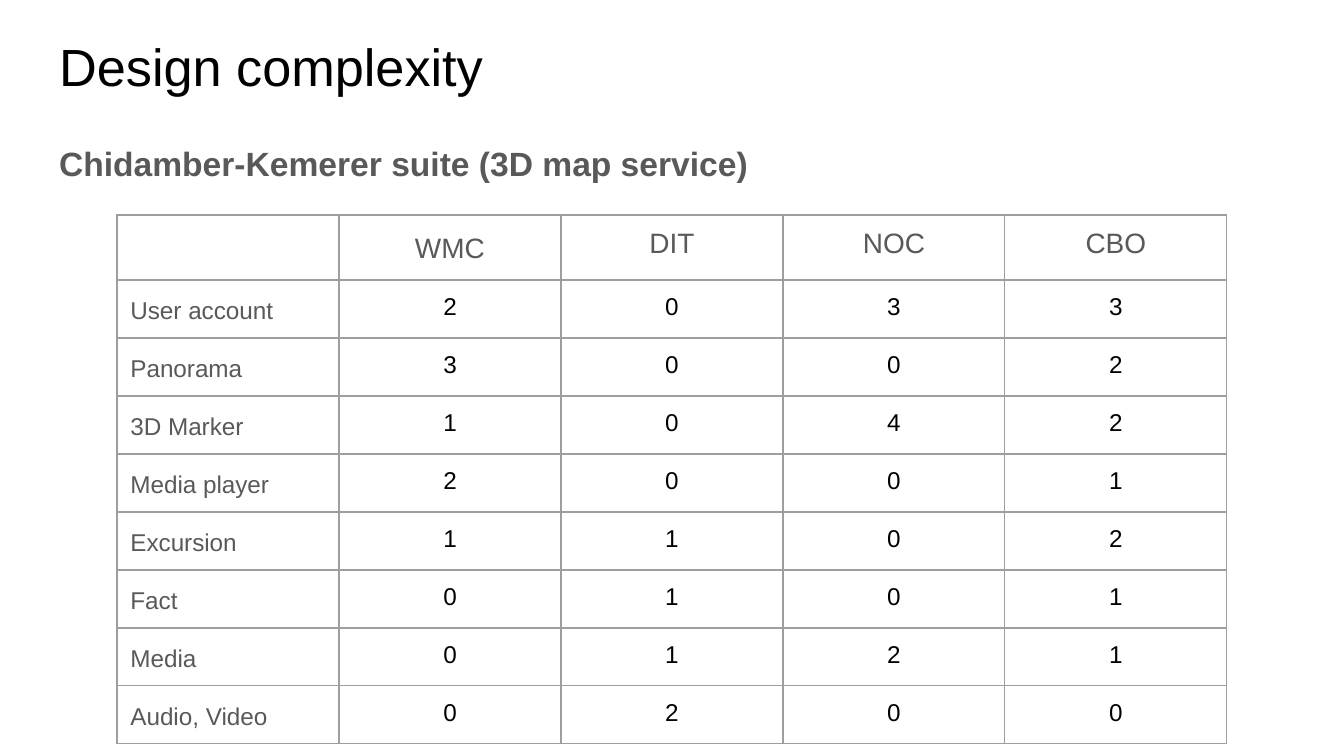
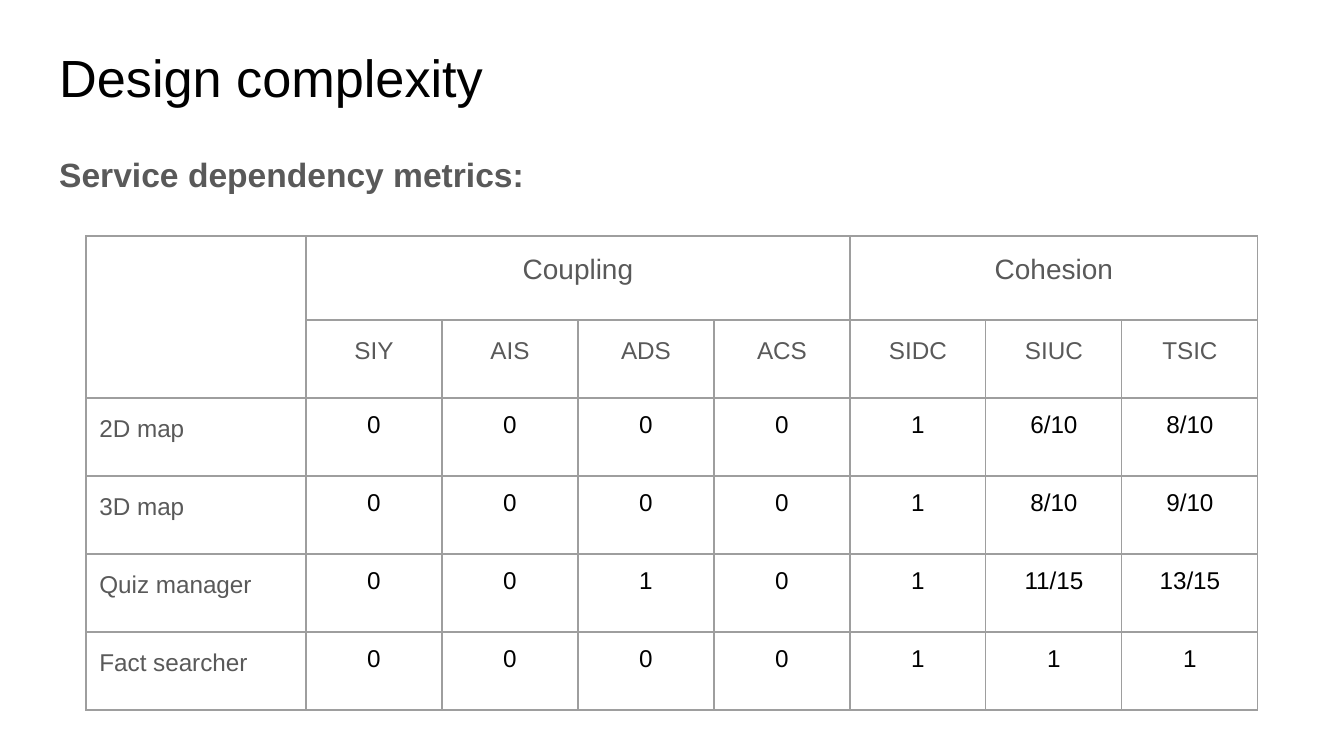
from lxml import etree
from pptx import Presentation
from pptx.dml.color import RGBColor
from pptx.enum.text import MSO_ANCHOR, PP_ALIGN
from pptx.oxml.ns import qn
from pptx.util import Inches, Pt

BLACK = RGBColor(0x00, 0x00, 0x00)
GRAY = RGBColor(0x59, 0x59, 0x59)
BORDER = RGBColor(0x9E, 0x9E, 0x9E)
LEFT, CENTER = PP_ALIGN.LEFT, PP_ALIGN.CENTER
TOP = MSO_ANCHOR.TOP
FONT = "Arial"
SCALE = 914400 / 134.4  # EMU in one px
INSET = Inches(0.1)
CELL_BOTTOM = Inches(0.06)  # keeps the text from stretching the rows
SIDES = ("a:lnL", "a:lnR", "a:lnT", "a:lnB")


def px(*lengths):
    return [round(length * SCALE) for length in lengths]


def write(frame, text, size, color=BLACK, bold=False, align=LEFT, spacing=None, after=None):
    frame.word_wrap = True
    para = frame.paragraphs[0]
    para.alignment = align
    if spacing:
        para.line_spacing = spacing
    if after:
        para.space_after = Pt(after)
    span = para.add_run()
    span.text = text
    span.font.name = FONT
    span.font.size = Pt(size)
    span.font.bold = bold
    span.font.color.rgb = color


# A header row lists its cells; None marks a cell covered by a merge.
PAGES = [
    {
        "title_box": (46, 21, 1253, 84),
        "subtitle": "Chidamber-Kemerer suite (3D map service)",
        "subtitle_box": (46, 124, 1253, 84),
        "table_at": (117, 215),
        "widths": [222] * 5,
        "heights": [65] + [58] * 8,
        "headers": 1,
        "merges": [],
        "loose_headers": ["WMC"],
        "rows": [
            ["", "WMC", "DIT", "NOC", "CBO"],
            ["User account", 2, 0, 3, 3],
            ["Panorama", 3, 0, 0, 2],
            ["3D Marker", 1, 0, 4, 2],
            ["Media player", 2, 0, 0, 1],
            ["Excursion", 1, 1, 0, 2],
            ["Fact", 0, 1, 0, 1],
            ["Media", 0, 1, 2, 1],
            ["Audio, Video", 0, 2, 0, 0],
        ],
    },
    {
        "title_box": (46, 32, 1253, 84),
        "subtitle": "Service dependency metrics:",
        "subtitle_box": (46, 135, 1253, 64),
        "table_at": (86, 236),
        "widths": [220] + [136] * 7,
        "heights": [84] + [78] * 5,
        "headers": 2,
        "merges": [(0, 0, 1, 0), (0, 1, 0, 4), (0, 5, 0, 7)],
        "loose_headers": ["Coupling", "Cohesion", "SIY", "AIS", "ADS", "ACS",
                          "SIDC", "SIUC", "TSIC"],
        "rows": [
            ["", "Coupling", None, None, None, "Cohesion", None, None],
            [None, "SIY", "AIS", "ADS", "ACS", "SIDC", "SIUC", "TSIC"],
            ["2D map", 0, 0, 0, 0, 1, "6/10", "8/10"],
            ["3D map", 0, 0, 0, 0, 1, "8/10", "9/10"],
            ["Quiz manager", 0, 0, 1, 0, 1, "11/15", "13/15"],
            ["Fact searcher", 0, 0, 0, 0, 1, 1, 1],
        ],
    },
]

deck = Presentation()
deck.slide_width, deck.slide_height = px(1344, 756)

for content in PAGES:
    page = deck.slides.add_slide(deck.slide_layouts[6])

    title = page.shapes.add_textbox(*px(*content["title_box"])).text_frame
    subtitle = page.shapes.add_textbox(*px(*content["subtitle_box"])).text_frame
    for frame in (title, subtitle):
        frame.vertical_anchor = TOP
        frame.margin_left = frame.margin_right = INSET
        frame.margin_top = frame.margin_bottom = INSET
    write(title, "Design complexity", 28)
    write(subtitle, content["subtitle"], 18, color=GRAY, bold=True, spacing=1.15)

    rows, widths, heights = content["rows"], content["widths"], content["heights"]
    table = page.shapes.add_table(
        len(rows), len(widths),
        *px(*content["table_at"], sum(widths), sum(heights))).table
    table.first_row = table.horz_banding = False
    for column, width in zip(table.columns, px(*widths)):
        column.width = width
    for row, height in zip(table.rows, px(*heights)):
        row.height = height

    for r, values in enumerate(rows):
        for c, value in enumerate(values):
            cell = table.cell(r, c)
            cell.margin_left = cell.margin_right = cell.margin_top = INSET
            cell.margin_bottom = CELL_BOTTOM
            cell.vertical_anchor = TOP
            properties = cell._tc.get_or_add_tcPr()
            for side in SIDES:
                line = etree.SubElement(properties, qn(side), w=str(Pt(0.75)))
                fill = etree.SubElement(line, qn("a:solidFill"))
                etree.SubElement(fill, qn("a:srgbClr"), val=str(BORDER))
            cell.fill.background()
            if value is None or value == "":
                continue
            is_header, is_label = r < content["headers"], c == 0
            loose = is_label or value in content["loose_headers"]
            write(cell.text_frame, str(value), 15 if r == 0 else 13,
                  color=GRAY if is_header or is_label else BLACK,
                  align=LEFT if is_label else CENTER,
                  spacing=1.15 if loose else None, after=12 if loose else None)

    for top, left, bottom, right in content["merges"]:
        table.cell(top, left).merge(table.cell(bottom, right))

deck.save("out.pptx")
